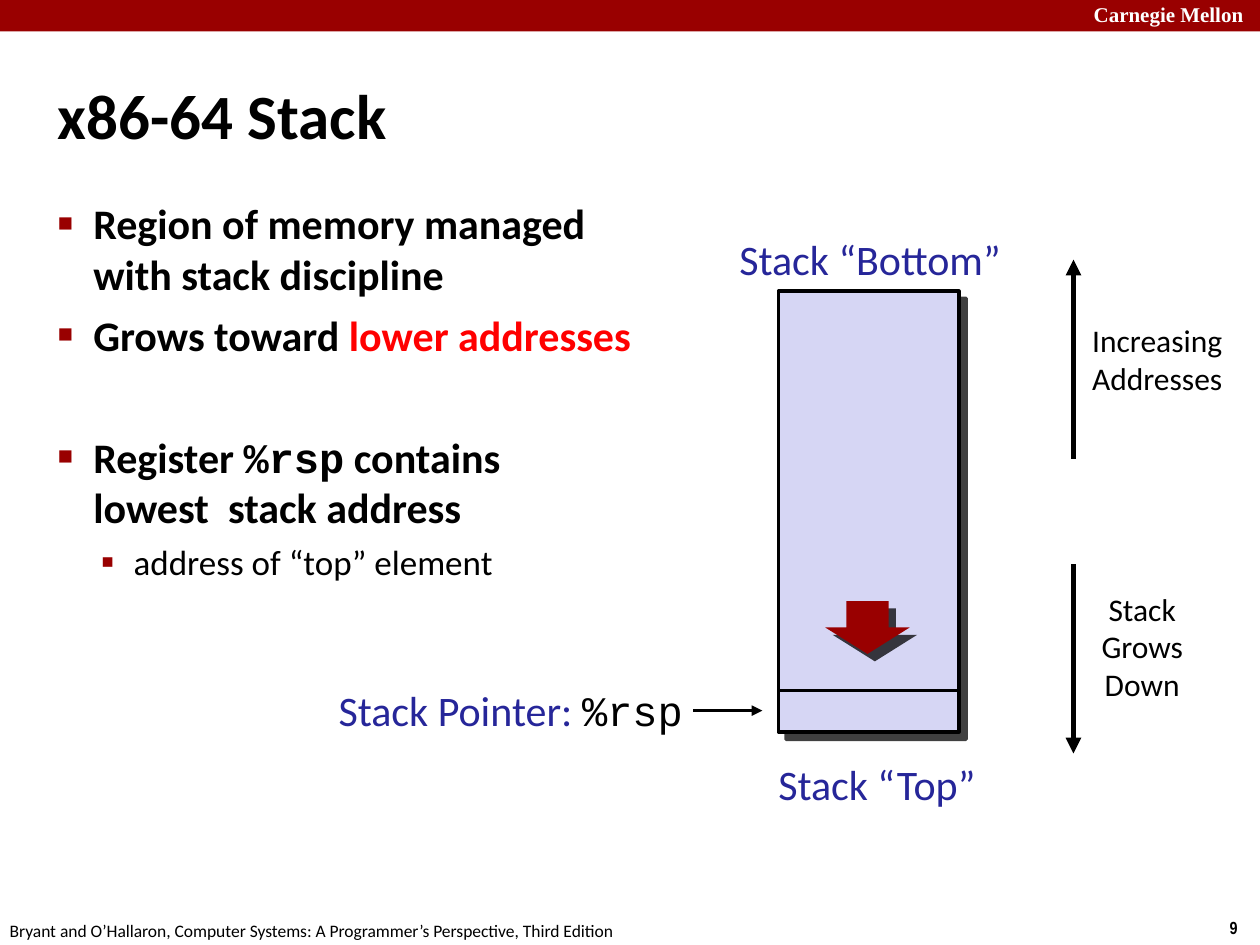
import pptx
import pptx.util
import pptx.dml.color
import pptx.enum.shapes
import pptx.enum.text
import pptx.oxml
import pptx.oxml.ns

Inches = pptx.util.Inches
Pt = pptx.util.Pt
RGBColor = pptx.dml.color.RGBColor
Shape = pptx.enum.shapes.MSO_SHAPE
Align = pptx.enum.text.PP_ALIGN
Anchor = pptx.enum.text.MSO_ANCHOR

BLACK = RGBColor(0x00, 0x00, 0x00)
WHITE = RGBColor(0xFF, 0xFF, 0xFF)
MAROON = RGBColor(0x99, 0x00, 0x00)
RED = RGBColor(0xFF, 0x00, 0x00)
BLUE = RGBColor(0x26, 0x26, 0x99)
LILAC = RGBColor(0xD6, 0xD6, 0xF4)
NS = pptx.oxml.ns.nsdecls("a")

# Text formats
BODY = {"name": "Calibri", "size": Pt(24), "bold": True, "color": BLACK}
ALERT = {**BODY, "color": RED}
CODE = {**BODY, "name": "Courier New"}
TITLE = {**BODY, "size": Pt(36)}
SUB = {**BODY, "size": Pt(20), "bold": False}
LABEL = {**BODY, "bold": False, "color": BLUE}
REG = {**CODE, "bold": False}
NOTE = {**SUB, "size": Pt(18)}
FOOT = {**SUB, "size": Pt(10)}
PAGE = {**FOOT, "name": "Arial Narrow", "bold": True}
SCHOOL = {"name": "Times New Roman", "size": Pt(12), "bold": True, "color": WHITE}

deck = pptx.Presentation()
deck.slide_width, deck.slide_height = Inches(10), Inches(7.5)
slide = deck.slides.add_slide(deck.slide_layouts[6])
shapes = slide.shapes


def add_runs(para, runs):
    for text, form in runs:
        if text == "\n":
            para.add_line_break()
            continue
        run = para.add_run()
        run.text = text
        for key, value in form.items():
            if key == "color":
                run.font.color.rgb = value
            else:
                setattr(run.font, key, value)


def add_text(place, lines, align=Align.LEFT, wrap=False, inset=0.04):
    box = shapes.add_textbox(*map(Inches, place))
    frame = box.text_frame
    frame.word_wrap = wrap
    for side in ("left", "top", "right", "bottom"):
        setattr(frame, "margin_" + side, Inches(inset))
    for i, runs in enumerate(lines):
        para = frame.add_paragraph() if i else frame.paragraphs[0]
        para.alignment = align
        add_runs(para, runs)
    return box


# Page number and footer
add_text((9.62, 7.23, 0.34, 0.27), [[("9", PAGE)]], Align.CENTER, inset=0.05)
add_text((-0.07, 7.25, 5.08, 0.27),
         [[("Bryant and O’Hallaron, Computer Systems: "
            "A Programmer’s Perspective, Third Edition", FOOT)]],
         Align.CENTER, inset=0.05)

# Filled shapes: top band, stack, growth arrow
solids = [
    (Shape.RECTANGLE, (0, 0, 10, 0.25), MAROON, False),
    (Shape.RECTANGLE, (6.18, 2.31, 1.43, 3.5), LILAC, True),
    (Shape.DOWN_ARROW, (6.55, 4.77, 0.67, 0.42), MAROON, True),
]
for kind, place, fill, shade in solids:
    solid = shapes.add_shape(kind, *map(Inches, place))
    solid.fill.solid()
    solid.fill.fore_color.rgb = fill
    if fill == LILAC:
        solid.line.color.rgb = BLACK
        solid.line.width = Pt(2)
    else:
        solid.line.fill.background()
    solid.shadow.inherit = False
    if shade:
        glow = solid._element.spPr.find(pptx.oxml.ns.qn("a:effectLst"))
        glow.append(pptx.oxml.parse_xml(
            f'<a:outerShdw {NS} dist="{Pt(6)}" dir="2700000" algn="ctr" rotWithShape="0">'
            '<a:srgbClr val="000000"><a:alpha val="75000"/></a:srgbClr></a:outerShdw>'))

add_text((8.64, -0.03, 1.44, 0.28), [[("Carnegie Mellon", SCHOOL)]], wrap=True)

# Title
title = add_text((0.42, 0.28, 9.17, 1.25), [[("x86-64 Stack", TITLE)]], wrap=True)
title.text_frame.vertical_anchor = Anchor.MIDDLE

# Bullets: level, space before, runs
points = [
    (0, 0, [("Region of memory managed with stack discipline", BODY)]),
    (0, 6, [("Grows toward ", BODY), ("lower addresses", ALERT)]),
    (0, 41, [("Register ", BODY), ("%rsp", CODE), (" contains", BODY),
             ("\n", BODY), ("lowest  stack address", BODY)]),
    (1, 5, [("address of “top” element", SUB)]),
]
styles = [(0.28, 0.28, 60, "■"), (0.6, 0.26, 110, "▪")]
body = add_text((0.42, 1.53, 4.88, 5.94), [[] for point in points], wrap=True)
for para, (level, gap, runs) in zip(body.text_frame.paragraphs, points):
    left, hang, scale, mark = styles[level]
    para.level = level
    props = para._p.get_or_add_pPr()
    props.set("marL", str(Inches(left)))
    props.set("indent", str(-Inches(hang)))
    for tag in (f'<a:buClr {NS}><a:srgbClr val="{MAROON}"/></a:buClr>',
                f'<a:buSzPct {NS} val="{scale * 1000}"/>',
                f'<a:buFont {NS} typeface="Times New Roman"/>',
                f'<a:buChar {NS} char="{mark}"/>'):
        props.append(pptx.oxml.parse_xml(tag))
    para.space_before = Pt(gap)
    add_runs(para, runs)

# Stack labels
add_text((5.79, 1.81, 2.23, 0.49), [[("Stack “Bottom”", LABEL)]], Align.CENTER)
add_text((6.11, 5.98, 1.7, 0.49), [[("Stack “Top”", LABEL)]], Align.CENTER)
add_text((2.58, 5.39, 2.88, 0.5),
         [[("Stack Pointer: ", LABEL), ("%rsp", REG)]], Align.RIGHT)

# Direction notes
add_text((8.62, 2.51, 1.13, 0.69),
         [[("Increasing", NOTE)], [("Addresses", NOTE)]], Align.CENTER)
add_text((8.62, 4.64, 0.89, 1),
         [[("Stack Grows", NOTE)], [("Down", NOTE)]], Align.CENTER, wrap=True)

# Lines: ends, width, arrowhead
lines = [
    ((6.18, 5.48, 7.6, 5.48), 2, False),
    ((5.5, 5.64, 6.05, 5.64), 2, True),
    ((8.52, 3.64, 8.52, 2.06), 3, True),
    ((8.52, 4.48, 8.52, 5.98), 3, True),
]
for ends, width, head in lines:
    line = shapes.add_connector(pptx.enum.shapes.MSO_CONNECTOR.STRAIGHT,
                                *map(Inches, ends))
    line.line.color.rgb = BLACK
    line.line.width = Pt(width)
    if head:
        line.line._get_or_add_ln().append(
            pptx.oxml.parse_xml(f'<a:tailEnd {NS} type="triangle"/>'))
    line._element.spPr.append(pptx.oxml.parse_xml(f"<a:effectLst {NS}/>"))

deck.save("out.pptx")
